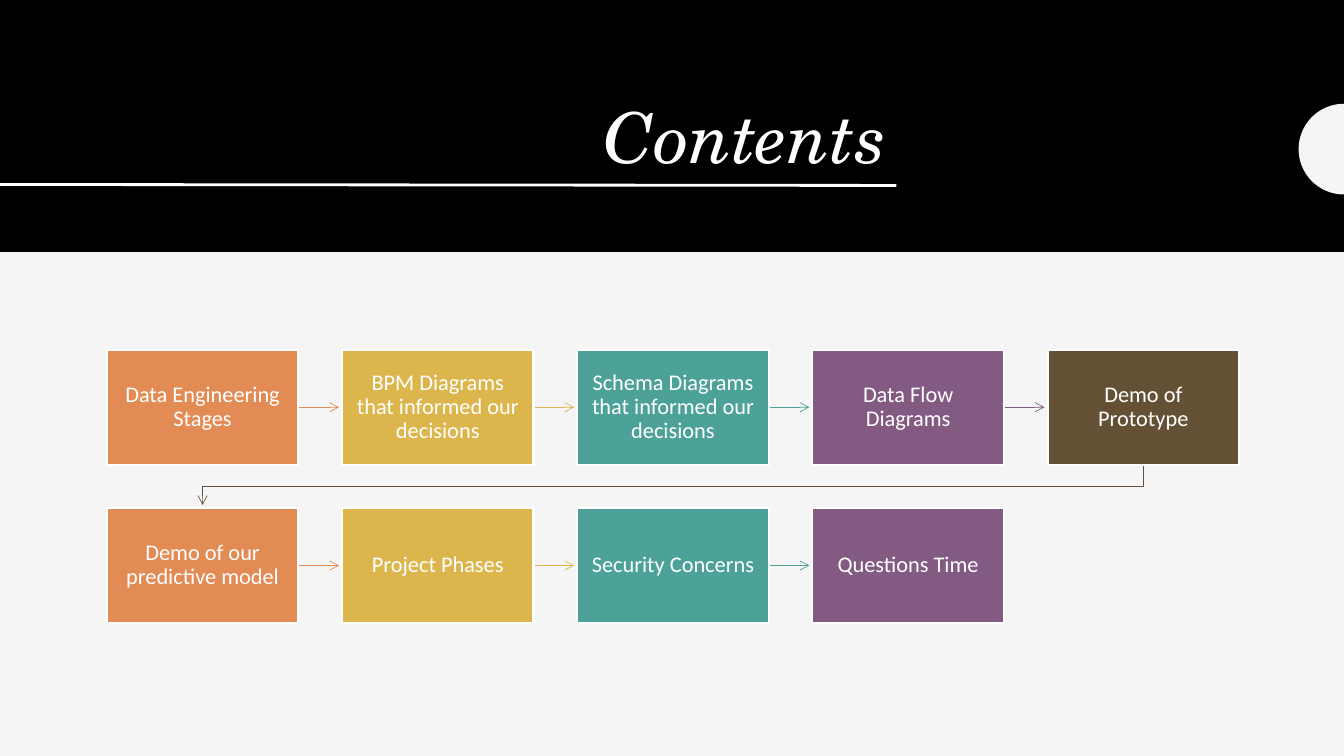
import math

import pptx
import pptx.dml.color
import pptx.enum.shapes
import pptx.enum.text
import pptx.oxml
import pptx.oxml.ns
import pptx.util

Inches = pptx.util.Inches
Pt = pptx.util.Pt
ALIGN = pptx.enum.text.PP_ALIGN
ANCHOR = pptx.enum.text.MSO_ANCHOR
RECTANGLE = pptx.enum.shapes.MSO_SHAPE.RECTANGLE
STRAIGHT = pptx.enum.shapes.MSO_CONNECTOR.STRAIGHT

WIDTH, HEIGHT = 13.33, 7.5
PAPER, BLACK, WHITE = "F5F5F5", "000000", "FFFFFF"
STEP_COLORS = ["E28B55", "DCB64D", "4CA198", "835B82", "645135"]
STEPS = [
    "Data Engineering Stages",
    "BPM Diagrams that informed our decisions",
    "Schema Diagrams that informed our decisions",
    "Data Flow Diagrams",
    "Demo of Prototype",
    "Demo of our predictive model",
    "Project Phases",
    "Security Concerns",
    "Questions Time",
]


def color(hex_string):
    return pptx.dml.color.RGBColor.from_string(hex_string)


def set_fill(shape, hex_string):
    shape.fill.solid()
    shape.fill.fore_color.rgb = color(hex_string)
    shape.shadow.inherit = False


def set_line(shape, hex_string, points):
    shape.line.color.rgb = color(hex_string)
    shape.line.width = Pt(points)


def add_rectangle(slide, box, fill):
    shape = slide.shapes.add_shape(RECTANGLE, *map(Inches, box))
    set_fill(shape, fill)
    shape.line.fill.background()
    return shape


def add_path(slide, points, closed):
    builder = slide.shapes.build_freeform(
        Inches(points[0][0]), Inches(points[0][1]), scale=1.0)
    builder.add_line_segments(
        [(Inches(x), Inches(y)) for x, y in points[1:]], close=closed)
    return builder.convert_to_shape()


def add_line(slide, start, end, hex_string, points):
    line = slide.shapes.add_connector(STRAIGHT, *map(Inches, start + end))
    set_line(line, hex_string, points)
    properties = line._element.spPr
    properties.append(pptx.oxml.parse_xml(
        f'<a:effectLst {pptx.oxml.ns.nsdecls("a")}/>'))
    return line


def add_arrowhead(shape):
    shape.line._get_or_add_ln().append(pptx.oxml.parse_xml(
        f'<a:tailEnd {pptx.oxml.ns.nsdecls("a")} type="arrow"/>'))


def write_text(shape, text, alignment, frame_format, font_format):
    frame = shape.text_frame
    for name, value in {"word_wrap": True, **frame_format}.items():
        setattr(frame, name, value)
    paragraph = frame.paragraphs[0]
    paragraph.alignment = alignment
    paragraph.line_spacing = 0.9
    run = paragraph.add_run()
    run.text = text
    for name, value in font_format.items():
        setattr(run.font, name, value)
    run.font.color.rgb = color(WHITE)


def add_header(slide, left, top, width, height):
    add_rectangle(slide, (left, top, width, height), BLACK)

    # Title and its rule
    right = left + 8.89
    title = slide.shapes.add_textbox(
        *map(Inches, (left + 1.05, top + 0.47, 7.84, 1.35)))
    write_text(title, "Contents", ALIGN.RIGHT,
               {"vertical_anchor": ANCHOR.BOTTOM},
               {"name": "TeX Gyre Schola", "size": Pt(50), "italic": True})
    add_line(slide, (left, top + 1.83), (right, top + 1.84), WHITE, 2)

    # Half disc on the right edge
    radius, center_y = 0.45, top + 1.48
    angles = [math.pi * (0.5 + step / 48) for step in range(49)]
    half_disc = add_path(
        slide,
        [(left + width + radius * math.cos(angle),
          center_y - radius * math.sin(angle)) for angle in angles],
        closed=True)
    set_fill(half_disc, PAPER)
    half_disc.line.fill.background()


def add_step(slide, box, text, fill):
    shape = add_rectangle(slide, box, fill)
    set_line(shape, WHITE, 1.5)
    write_text(shape, text, ALIGN.CENTER,
               {"vertical_anchor": ANCHOR.MIDDLE,
                "margin_left": Inches(0.09), "margin_right": Inches(0.09),
                "margin_top": Inches(0.1), "margin_bottom": Inches(0.1)},
               {"name": "Calibri", "size": Pt(16)})


def add_process(slide, left, top, width, height):
    columns = len(STEP_COLORS)
    step_width, step_height = 1.9, 1.14
    pitch_x = (width - step_width) / (columns - 1)
    pitch_y = height - step_height
    gap_x, gap_y = pitch_x - step_width, pitch_y - step_height

    for index, text in enumerate(STEPS):
        row, column = divmod(index, columns)
        x, y = left + column * pitch_x, top + row * pitch_y
        fill = STEP_COLORS[column]

        # Arrow to the next step, folding back at the end of a row
        if index < len(STEPS) - 1:
            if column < columns - 1:
                middle = y + step_height / 2
                arrow = add_line(slide, (x + step_width, middle),
                                 (x + step_width + gap_x - 0.03, middle),
                                 fill, 0.5)
            else:
                start_x, end_x = x + step_width / 2, left + step_width / 2
                bottom = y + step_height
                turn = bottom + gap_y / 2
                arrow = add_path(
                    slide,
                    [(start_x, bottom), (start_x, turn), (end_x, turn),
                     (end_x, bottom + gap_y - 0.03)],
                    closed=False)
                arrow.fill.background()
                arrow.shadow.inherit = False
                set_line(arrow, fill, 0.5)
            add_arrowhead(arrow)

        add_step(slide, (x, y, step_width, step_height), text, fill)


def main():
    presentation = pptx.Presentation()
    presentation.slide_width = Inches(WIDTH)
    presentation.slide_height = Inches(HEIGHT)
    slide = presentation.slides.add_slide(presentation.slide_layouts[6])
    slide.background.fill.solid()
    slide.background.fill.fore_color.rgb = color(PAPER)

    add_header(slide, 0, 0, WIDTH, 2.5)
    add_process(slide, 1.06, 3.47, 11.23, 2.71)
    presentation.save("out.pptx")


if __name__ == "__main__":
    main()
